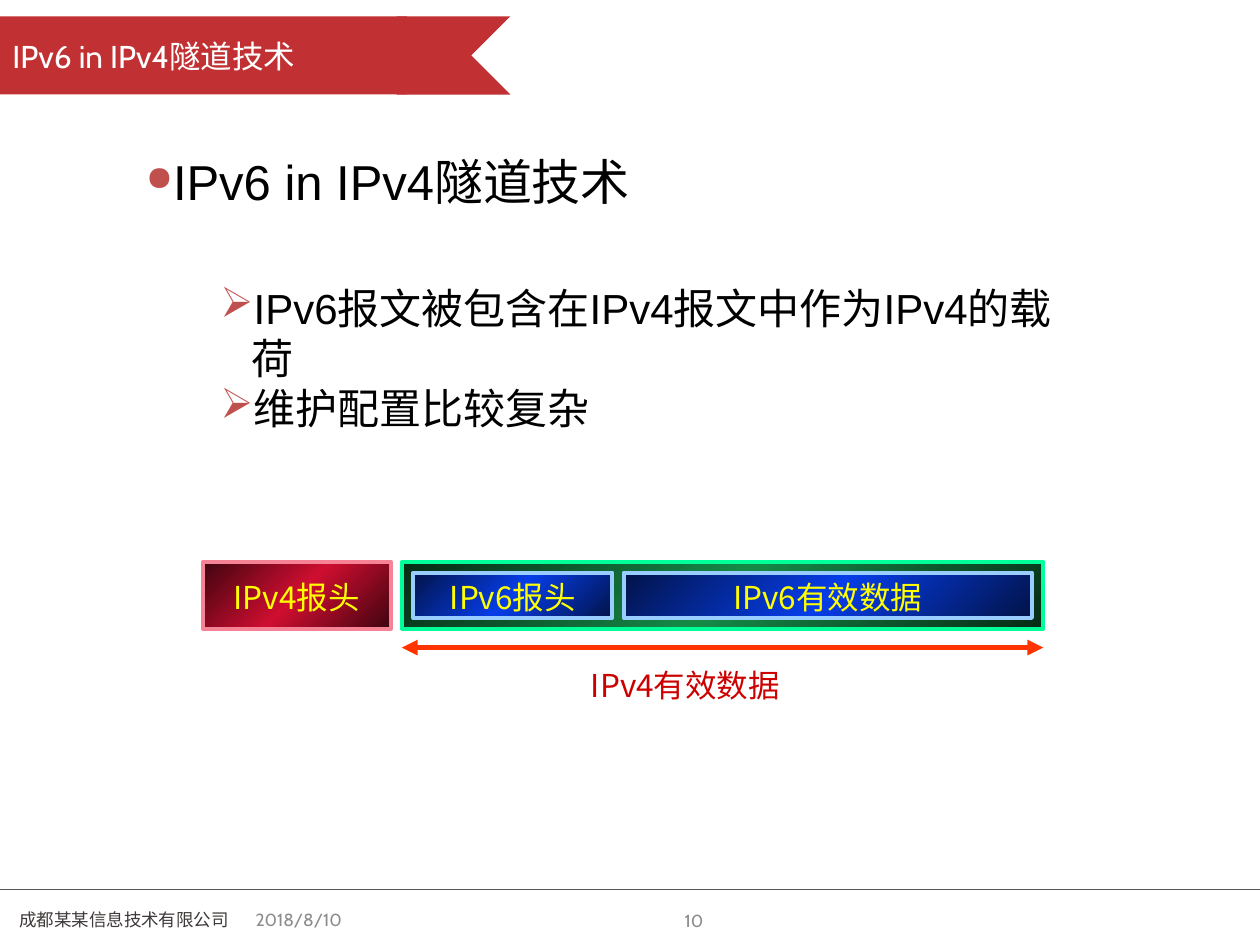
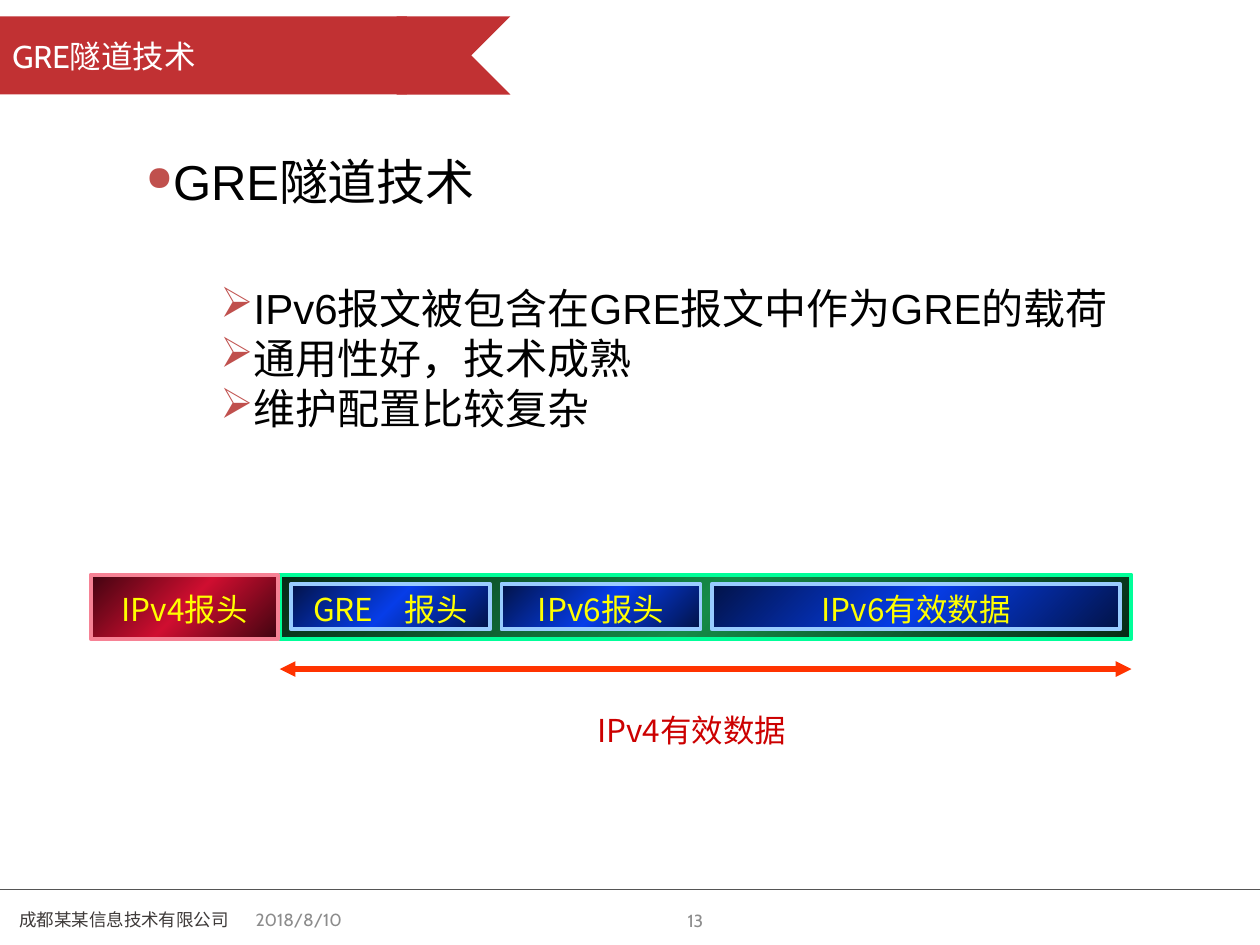
from lxml import etree
from pptx import Presentation
from pptx.dml.color import RGBColor
from pptx.enum import shapes, text
from pptx.oxml import parse_xml
from pptx.oxml import ns
from pptx.util import Inches, Pt

COLORS = {
    "band": "C13133", "rule": "555555", "white": "FFFFFF", "black": "000000",
    "company": "3E3A39", "muted": "8C8C8C", "bullet": "C0504D",
    "label": "FFFF00", "arrow": "FF3300", "caption": "CC0000",
}
# Packet block styles: gradient edge, gradient middle, outline
BLOCKS = {
    "header": ("400410", "CF0E30", "F68295"),
    "payload": ("072B16", "158A47", "00FF99"),
    "field": ("021348", "063DE8", "99CCFF"),
}
TITLE_FONT, BODY_FONT, LABEL_FONT = "Cabin", "Arial", "Noto Sans CJK SC"
LEFT, CENTER, RIGHT = text.PP_ALIGN.LEFT, text.PP_ALIGN.CENTER, text.PP_ALIGN.RIGHT
MIDDLE, TOP = text.MSO_ANCHOR.MIDDLE, text.MSO_ANCHOR.TOP
FIELD_GAP = 0.09
FIELD_HEIGHT = 0.36


def rgb(name):
    return RGBColor.from_string(COLORS[name])


def inches(*lengths):
    return [Inches(length) for length in lengths]


def write(shape, lines, font, size, color, align=LEFT, anchor=MIDDLE, wrap=True, spacing=None):
    frame = shape.text_frame
    frame.text = "\n".join(lines)
    frame.word_wrap = wrap
    frame.vertical_anchor = anchor
    for paragraph in frame.paragraphs:
        paragraph.alignment = align
        paragraph.line_spacing = spacing
        for run in paragraph.runs:
            run.font.name = font
            run.font.size = Pt(size)
            run.font.color.rgb = rgb(color)


def add_text(slide, box, lines, *style, **options):
    shape = slide.shapes.add_textbox(*inches(*box))
    write(shape, lines, *style, **options)
    return shape


def add_line(slide, left, right, y, color, width):
    line = slide.shapes.add_connector(
        shapes.MSO_CONNECTOR.STRAIGHT, *inches(left, y, right, y))
    line.line.color.rgb = rgb(color)
    line.line.width = Pt(width)
    etree.SubElement(line._element.spPr, ns.qn("a:effectLst"))
    return line


def add_band_part(slide, preset, box):
    shape = slide.shapes.add_shape(preset, *inches(*box))
    shape.shadow.inherit = False
    shape.fill.solid()
    shape.fill.fore_color.rgb = rgb("band")
    shape.line.fill.background()
    return shape


def add_bullets(shape, char, margin, indent, scale=100):
    for paragraph in shape.text_frame.paragraphs:
        properties = paragraph._p.get_or_add_pPr()
        properties.set("marL", str(Inches(margin)))
        properties.set("indent", str(Inches(indent)))
        color = etree.SubElement(properties, ns.qn("a:buClr"))
        etree.SubElement(color, ns.qn("a:srgbClr"), val=COLORS["bullet"])
        etree.SubElement(properties, ns.qn("a:buSzPct"), val=str(scale * 1000))
        etree.SubElement(properties, ns.qn("a:buChar"), char=char)


def add_block(slide, box, style, label=""):
    edge, middle, outline = BLOCKS[style]
    shape = slide.shapes.add_shape(shapes.MSO_SHAPE.RECTANGLE, *inches(*box))
    shape.shadow.inherit = False
    shape.line.color.rgb = RGBColor.from_string(outline)
    shape.line.width = Pt(2.25)
    stops = "".join(
        f'<a:gs pos="{position}"><a:srgbClr val="{color}"/></a:gs>'
        for position, color in ((0, edge), (50000, middle), (100000, edge)))
    gradient = parse_xml(
        f'<a:gradFill {ns.nsdecls("a")} rotWithShape="1"><a:gsLst>{stops}</a:gsLst>'
        '<a:lin ang="2700000" scaled="1"/></a:gradFill>')
    shape._element.spPr.find(ns.qn("a:prstGeom")).addnext(gradient)
    if label:
        write(shape, [label], LABEL_FONT, 18, "label", CENTER, wrap=False, spacing=1.1)


def add_title_band(slide, title):
    tail = add_band_part(slide, shapes.MSO_SHAPE.CHEVRON, (2.84, 0.13, 1.21, 0.62))
    tail.rotation = 180
    band = add_band_part(slide, shapes.MSO_SHAPE.RECTANGLE, (0, 0.13, 3.23, 0.62))
    write(band, [title], TITLE_FONT, 18, "white")


def add_footer(slide, number):
    add_line(slide, 0, 10, 7.06, "rule", 0.75)
    for box, content, color, align in (
            ((1.93, 7.1, 2.33, 0.4), "2018/8/10", "muted", LEFT),
            ((-0.83, 7.1, 3.63, 0.4), "成都某某信息技术有限公司", "company", CENTER),
            ((3.35, 7.11, 2.33, 0.4), number, "muted", RIGHT)):
        add_text(slide, box, [content], TITLE_FONT, 10, color, align)


def add_body(slide, heading, points, points_width):
    heading_box = add_text(slide, (1.06, 1.15, 7.4, 1.04), [heading],
                           BODY_FONT, 28, "black", anchor=TOP)
    add_bullets(heading_box, "●", 0, 0, 70)
    points_box = add_text(slide, (0.9, 2.19, points_width, 1.31), points,
                          BODY_FONT, 24, "black", anchor=TOP)
    add_bullets(points_box, "➢", 1, -0.25)


def add_packet(slide, left, top, height, header_gap, fields, arrow_drop, caption_at):
    # Outer header, then the payload that wraps the inner fields
    header_width = 1.49
    payload_left = left + header_width + header_gap
    payload_width = FIELD_GAP + sum(width + FIELD_GAP for _, width in fields)
    add_block(slide, (payload_left, top, payload_width, height), "payload")
    add_block(slide, (left, top, header_width, height), "header", "IPv4报头")
    field_left = payload_left + FIELD_GAP
    field_top = top + (height - FIELD_HEIGHT) / 2
    for label, width in fields:
        add_block(slide, (field_left, field_top, width, FIELD_HEIGHT), "field", label)
        field_left += width + FIELD_GAP
    # Double arrow spanning the payload
    arrow = add_line(slide, payload_left, payload_left + payload_width,
                     top + arrow_drop, "arrow", 3)
    line = arrow.line._get_or_add_ln()
    for end in ("a:headEnd", "a:tailEnd"):
        etree.SubElement(line, ns.qn(end), type="triangle")
    add_text(slide, (*caption_at, 1.72, 0.43), ["IPv4有效数据"],
             LABEL_FONT, 18, "caption", CENTER, spacing=1.1)


def add_tunnel_slide(presentation, number, title, points, points_width, packet):
    slide = presentation.slides.add_slide(presentation.slide_layouts[6])
    add_footer(slide, number)
    add_title_band(slide, title)
    add_body(slide, title, points, points_width)
    add_packet(slide, **packet)


def main():
    presentation = Presentation()
    presentation.slide_width, presentation.slide_height = inches(10, 7.5)
    ipv6_fields = [("IPv6报头", 1.58), ("IPv6有效数据", 3.24)]
    add_tunnel_slide(
        presentation, "10", "IPv6 in IPv4隧道技术",
        ["IPv6报文被包含在IPv4报文中作为IPv4的载荷", "维护配置比较复杂"], 7.73,
        dict(left=1.61, top=4.46, height=0.53, header_gap=0.09, fields=ipv6_fields,
             arrow_drop=0.68, caption_at=(4.58, 5.21)))
    add_tunnel_slide(
        presentation, "13", "GRE隧道技术",
        ["IPv6报文被包含在GRE报文中作为GRE的载荷", "通用性好，技术成熟", "维护配置比较复杂"], 8.28,
        dict(left=0.72, top=4.56, height=0.51, header_gap=0.01,
             fields=[("GRE　报头", 1.58), *ipv6_fields],
             arrow_drop=0.75, caption_at=(4.63, 5.56)))
    presentation.save("out.pptx")


if __name__ == "__main__":
    main()
